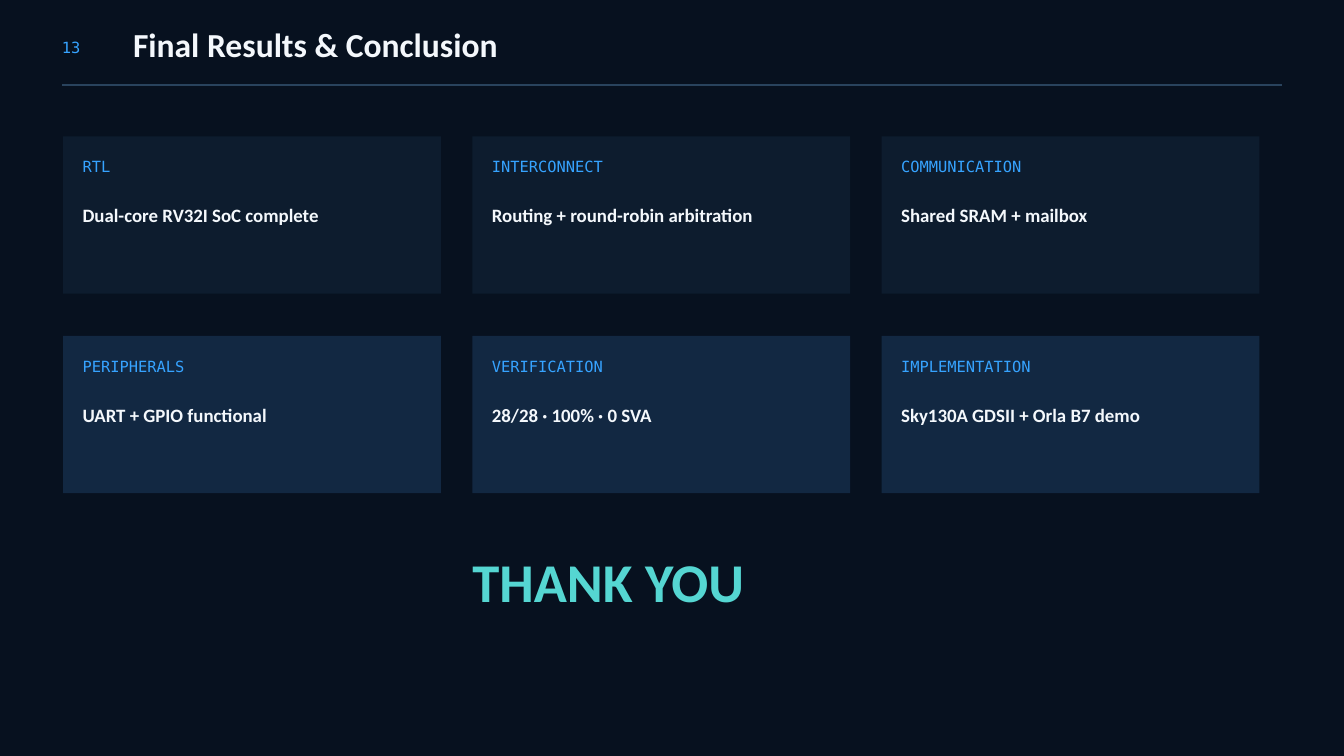
from dataclasses import dataclass

from pptx import Presentation
from pptx.dml.color import RGBColor
from pptx.enum.shapes import MSO_CONNECTOR, MSO_SHAPE
from pptx.enum.text import MSO_ANCHOR, MSO_AUTO_SIZE, PP_ALIGN
from pptx.oxml.ns import qn
from pptx.util import Inches, Pt
from lxml.etree import SubElement


@dataclass(frozen=True)
class Style:
    font: str
    size: float
    leading: float
    color: str
    bold: bool = False


class Theme:
    background = "07111F"
    rule = "29435D"
    card_rows = ("0D1C2E", "122842")
    label = Style("DejaVu Sans Mono", 16.5, 20.6, "36A3FF")
    title = Style("Calibri", 36, 38.9, "F4F8FC", True)
    body = Style("Calibri", 20.2, 23.3, "F4F8FC", True)
    closing = Style("Calibri", 58.5, 61.4, "55D6D2", True)


def write(sp, box, text, style):
    """Place a text shape and fill it with one styled run."""
    sp.left, sp.top, sp.width, sp.height = (Inches(v) for v in box)
    tf = sp.text_frame
    tf.margin_left = tf.margin_top = tf.margin_right = tf.margin_bottom = 0
    tf.word_wrap = True
    tf.auto_size = MSO_AUTO_SIZE.NONE
    tf.vertical_anchor = MSO_ANCHOR.TOP
    p = tf.paragraphs[0]
    p.alignment = PP_ALIGN.LEFT
    p.line_spacing = Pt(style.leading)
    p.space_before = Pt(0)
    r = p.add_run()
    r.text = text
    r.font.name = style.font
    r.font.size = Pt(style.size)
    r.font.bold = style.bold
    r.font.color.rgb = RGBColor.from_string(style.color)


# Slide and background
W, H = 20, 11.25
prs = Presentation()
prs.slide_width, prs.slide_height = Inches(W), Inches(H)
s = prs.slides.add_slide(prs.slide_layouts[5])
s.background.fill.solid()
s.background.fill.fore_color.rgb = RGBColor.from_string(Theme.background)

# Header: page number, title and rule
margin = 0.92
write(s.shapes.add_textbox(0, 0, 0, 0), (margin, 0.55, 0.94, 0.28), "13", Theme.label)
write(s.shapes.title, (1.98, 0.42, 15.62, 0.61), "Final Results & Conclusion", Theme.title)
rule = s.shapes.add_connector(MSO_CONNECTOR.STRAIGHT, Inches(margin), Inches(1.27),
                              Inches(W - margin), Inches(1.27))
rule.line.color.rgb = RGBColor.from_string(Theme.rule)
rule.line.width = Pt(2)
SubElement(rule.element.spPr, qn("a:effectLst"))

# Result cards: two rows of three
cards = [
    [("RTL", "Dual-core RV32I SoC complete"),
     ("INTERCONNECT", "Routing + round-robin arbitration"),
     ("COMMUNICATION", "Shared SRAM + mailbox")],
    [("PERIPHERALS", "UART + GPIO functional"),
     ("VERIFICATION", "28/28 · 100% · 0 SVA"),
     ("IMPLEMENTATION", "Sky130A GDSII + Orla B7 demo")],
]
grid_left, grid_top = 0.94, 2.03
card_w, card_h = 5.62, 2.34
col_step, row_step = 6.09, 2.97
pad, text_w = 0.29, 4.9

for row, (color, line) in enumerate(zip(Theme.card_rows, cards)):
    for col, (label, result) in enumerate(line):
        x, y = grid_left + col * col_step, grid_top + row * row_step
        group = s.shapes.add_group_shape()
        card = group.shapes.add_shape(MSO_SHAPE.RECTANGLE, Inches(x), Inches(y),
                                      Inches(card_w), Inches(card_h))
        card.shadow.inherit = False
        card.fill.solid()
        card.fill.fore_color.rgb = RGBColor.from_string(color)
        card.line.fill.background()
        for text, dy, h, style in ((label, 0.3, 0.28, Theme.label),
                                   (result, 1.02, 0.36, Theme.body)):
            sp = group.shapes.add_textbox(Inches(x + pad), Inches(y + dy),
                                          Inches(text_w), Inches(h))
            write(sp, (x + pad, y + dy, text_w, h), text, style)

# Closing words, aligned with the middle column
write(s.shapes.add_textbox(0, 0, 0, 0), (grid_left + col_step, 8.27, 7.29, 1.01),
      "THANK YOU", Theme.closing)

prs.save("out.pptx")
